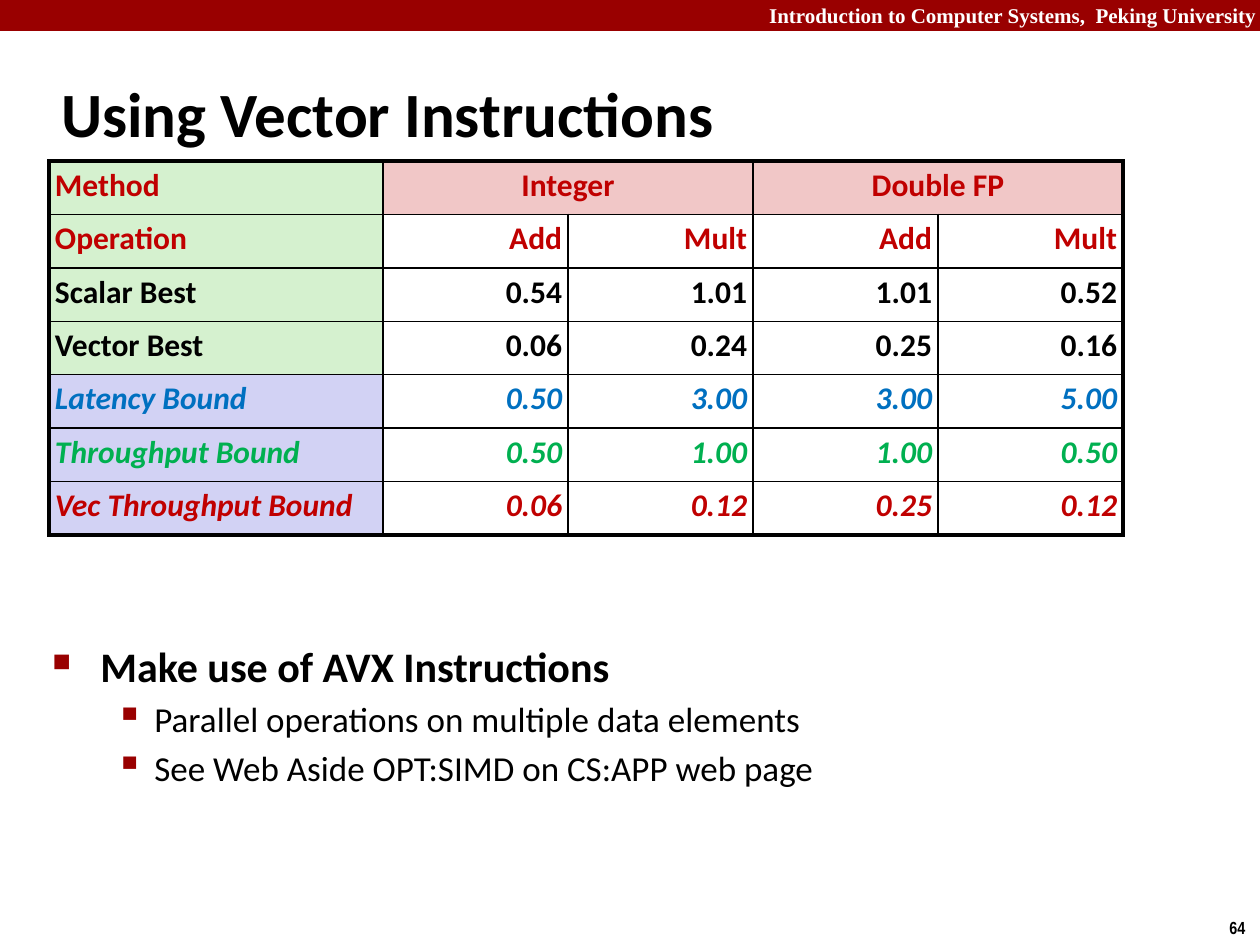
import pptx
import pptx.dml.color
import pptx.enum.shapes
import pptx.enum.text
import pptx.oxml
import pptx.oxml.ns
import pptx.util

RGBColor = pptx.dml.color.RGBColor
ALIGN = pptx.enum.text.PP_ALIGN
ANCHOR = pptx.enum.text.MSO_ANCHOR

BLACK = RGBColor(0x00, 0x00, 0x00)
WHITE = RGBColor(0xFF, 0xFF, 0xFF)
MAROON = RGBColor(0x99, 0x00, 0x00)
RED = RGBColor(0xC0, 0x00, 0x00)
BLUE = RGBColor(0x00, 0x70, 0xC0)
GREEN = RGBColor(0x00, 0xB0, 0x50)
PALE_GREEN = RGBColor(0xD5, 0xF1, 0xCF)
PALE_RED = RGBColor(0xF1, 0xC7, 0xC7)
PALE_BLUE = RGBColor(0xD2, 0xD2, 0xF4)

PX_PER_INCH = 126
THIN, THICK = 1, 2.25

# Row text, text colour, italic, fill of the first cell
TABLE_ROWS = [
    (("Method", "Integer", "", "Double FP", ""), RED, False, PALE_GREEN),
    (("Operation", "Add", "Mult", "Add", "Mult"), RED, False, PALE_GREEN),
    (("Scalar Best", "0.54", "1.01", "1.01", "0.52"), BLACK, False, PALE_GREEN),
    (("Vector Best", "0.06", "0.24", "0.25", "0.16"), BLACK, False, PALE_GREEN),
    (("Latency Bound", "0.50", "3.00", "3.00", "5.00"), BLUE, True, PALE_BLUE),
    (("Throughput Bound", "0.50", "1.00", "1.00", "0.50"), GREEN, True, PALE_BLUE),
    (("Vec Throughput Bound", "0.06", "0.12", "0.25", "0.12"), RED, True, PALE_BLUE),
]
COLUMN_WIDTHS = [334, 185, 185, 185, 185]

# Text, size, bold, left margin, hanging indent, bullet, bullet size in percent
BULLETS = [
    ("Make use of AVX Instructions", 24, True, 48, 48, "■", 60),
    ("Parallel operations on multiple data elements", 20, False, 102, 39, "▪", 110),
    ("See Web Aside OPT:SIMD on CS:APP web page", 20, False, 102, 39, "▪", 110),
]


def px(length):
    return pptx.util.Emu(round(length * 914400 / PX_PER_INCH))


def format_runs(paragraph, size, color=BLACK, bold=True, italic=False, font="Calibri"):
    for run in paragraph.runs:
        run.font.name = font
        run.font.size = pptx.util.Pt(size)
        run.font.bold = bold
        run.font.italic = italic
        run.font.color.rgb = color


def add_text(slide, box, text, size, color=BLACK, font="Calibri",
             align=ALIGN.LEFT, anchor=ANCHOR.TOP, wrap=True):
    shape = slide.shapes.add_textbox(*map(px, box))
    frame = shape.text_frame
    frame.word_wrap = wrap
    frame.vertical_anchor = anchor
    frame.text = text
    frame.paragraphs[0].alignment = align
    format_runs(frame.paragraphs[0], size, color, font=font)


def add_header_bar(slide):
    shape = slide.shapes.add_shape(
        pptx.enum.shapes.MSO_SHAPE.RECTANGLE, 0, 0, px(1260), px(31))
    shape.shadow.inherit = False
    shape.fill.solid()
    shape.fill.fore_color.rgb = MAROON
    shape.line.fill.background()


def set_bullet(paragraph, margin, hanging, character, percent):
    properties = paragraph._p.get_or_add_pPr()
    properties.set("marL", str(px(margin)))
    properties.set("indent", str(-px(hanging)))
    namespace = pptx.oxml.ns.nsdecls("a")
    for xml in (
        f'<a:buClr {namespace}><a:srgbClr val="{MAROON}"/></a:buClr>',
        f'<a:buSzPct {namespace} val="{percent * 1000}"/>',
        f'<a:buChar {namespace} char="{character}"/>',
    ):
        properties.append(pptx.oxml.parse_xml(xml))


def add_bullet_list(slide, box):
    frame = slide.shapes.add_textbox(*map(px, box)).text_frame
    frame.word_wrap = True
    for index, (text, size, bold, margin, hanging, character, percent) in enumerate(BULLETS):
        paragraph = frame.add_paragraph() if index else frame.paragraphs[0]
        paragraph.text = text
        paragraph.level = 0 if bold else 1
        paragraph.space_before = pptx.util.Pt(size * 0.2)
        format_runs(paragraph, size, bold=bold)
        set_bullet(paragraph, margin, hanging, character, percent)


def set_borders(cell, widths):
    properties = cell._tc.get_or_add_tcPr()
    for index, (side, width) in enumerate(widths.items()):
        # Border lines come before the fill
        properties.insert(index, pptx.oxml.parse_xml(
            f'<a:ln{side} {pptx.oxml.ns.nsdecls("a")} w="{pptx.util.Pt(width)}">'
            f'<a:solidFill><a:srgbClr val="{BLACK}"/></a:solidFill></a:ln{side}>'))


def fill_cell(cell, text, color, italic, align, fill):
    cell.margin_left = cell.margin_right = px(6)
    cell.margin_top = cell.margin_bottom = px(6)
    if fill is None:
        cell.fill.background()
    else:
        cell.fill.solid()
        cell.fill.fore_color.rgb = fill
    cell.text_frame.text = text
    paragraph = cell.text_frame.paragraphs[0]
    paragraph.alignment = align
    paragraph.line_spacing = 0.95
    format_runs(paragraph, 18, color, italic=italic)


def add_results_table(slide, left, top, height):
    row_count, column_count = len(TABLE_ROWS), len(COLUMN_WIDTHS)
    table = slide.shapes.add_table(
        row_count, column_count, px(left), px(top),
        px(sum(COLUMN_WIDTHS)), px(height)).table
    table.first_row = table.horz_banding = False
    for column, width in zip(table.columns, COLUMN_WIDTHS):
        column.width = px(width)
    for row_index, (texts, color, italic, label_fill) in enumerate(TABLE_ROWS):
        table.rows[row_index].height = px(height / row_count)
        for column_index, text in enumerate(texts):
            cell = table.cell(row_index, column_index)
            if column_index == 0:
                align, fill = ALIGN.LEFT, label_fill
            elif row_index == 0:
                align, fill = ALIGN.CENTER, PALE_RED
            else:
                align, fill = ALIGN.RIGHT, None
            fill_cell(cell, text, color, italic, align, fill)
            # The outer frame is thick, the inner grid thin
            at_right = column_index == column_count - 1 or (row_index == 0 and column_index == 3)
            set_borders(cell, {
                "L": THICK if column_index == 0 else THIN,
                "R": THICK if at_right else THIN,
                "T": THICK if row_index == 0 else THIN,
                "B": THICK if row_index == row_count - 1 else THIN,
            })
    # Each number type spans its Add and Mult columns
    for first in (1, 3):
        table.cell(0, first).merge(table.cell(0, first + 1))


def main():
    presentation = pptx.Presentation()
    presentation.slide_width = px(1260)
    presentation.slide_height = px(945)
    slide = presentation.slides.add_slide(presentation.slide_layouts[6])

    # Header and page number
    add_header_bar(slide)
    add_text(slide, (756, -4, 513, 38), "Introduction to Computer Systems,  Peking University",
             12, WHITE, "Times New Roman", ALIGN.RIGHT)
    add_text(slide, (1217, 911, 43, 34), "64", 10, font="Arial Narrow", wrap=False)

    # Title, results and remarks
    add_text(slide, (49, 60, 1046, 105), "Using Vector Instructions", 36, anchor=ANCHOR.MIDDLE)
    add_bullet_list(slide, (40, 634, 1145, 258))
    add_results_table(slide, 49, 161, 374)

    presentation.save("out.pptx")


if __name__ == "__main__":
    main()
